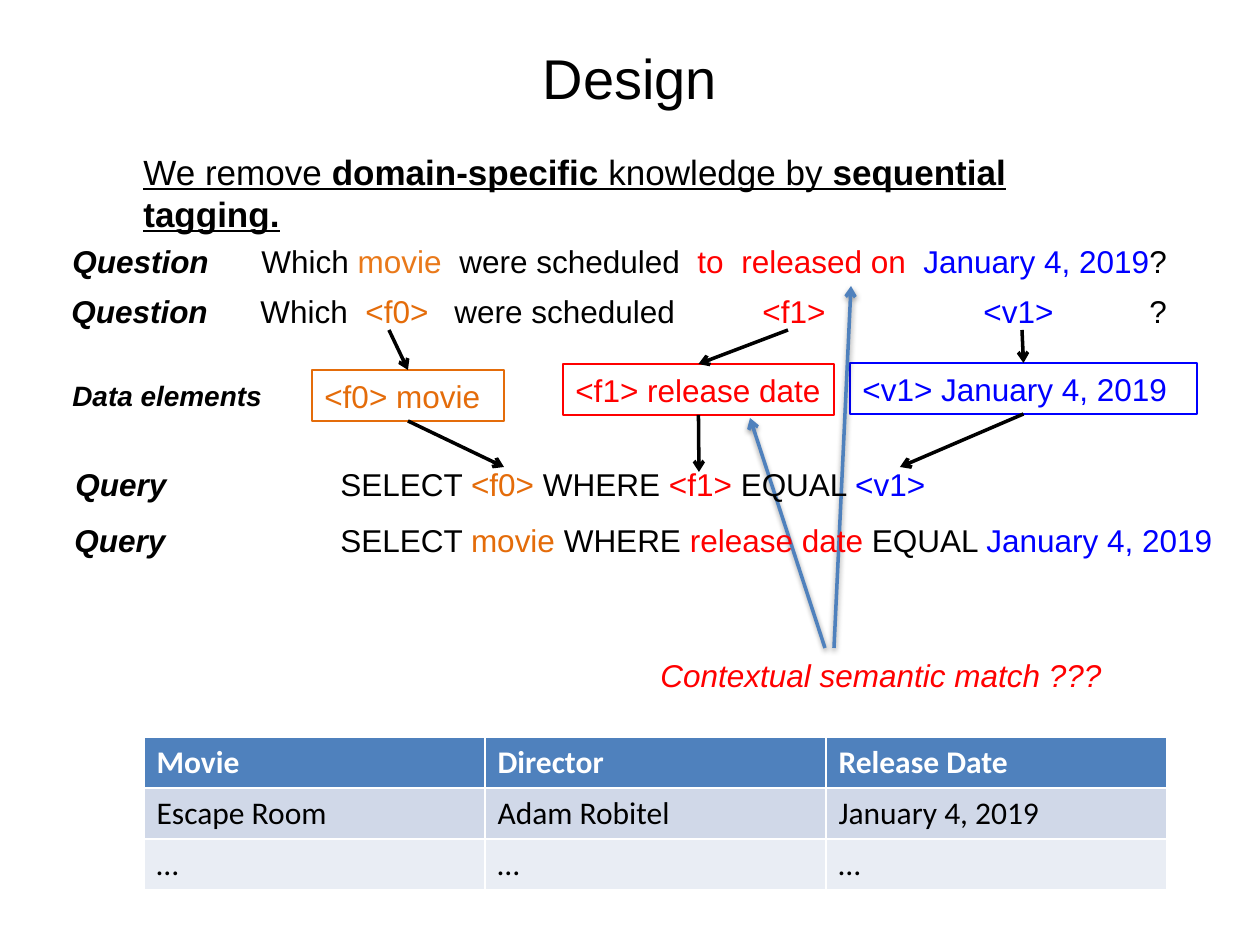
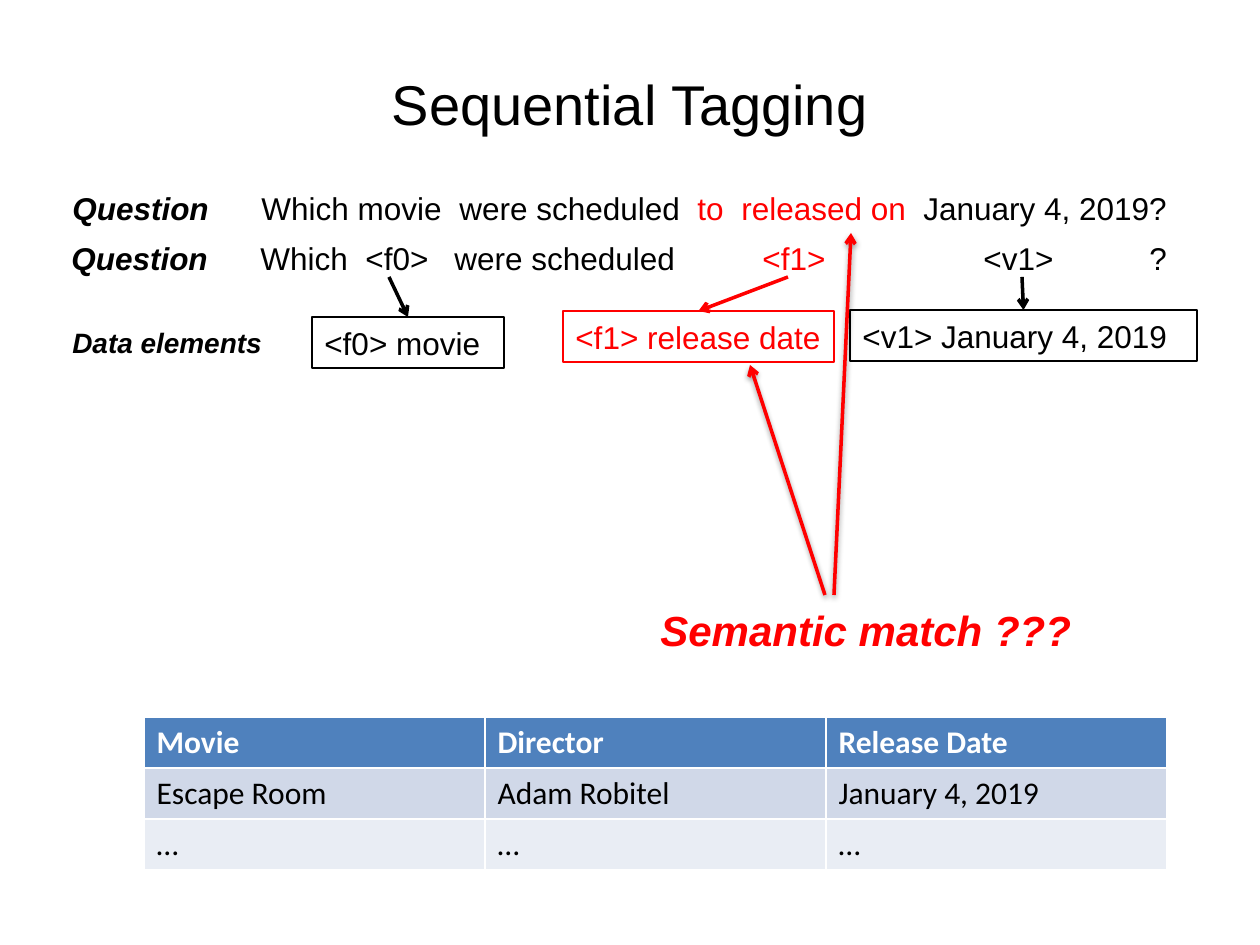
import pptx
import pptx.util
import pptx.dml.color
import pptx.enum.shapes
import pptx.enum.text
import pptx.oxml
import pptx.oxml.ns
import lxml.etree


class Theme:
    black = "000000"
    white = "FFFFFF"
    orange = "E46C0A"
    movie = "E9791A"
    red = "FF0000"
    blue = "0000FF"
    accent = "4F81BD"
    rows = ("4F81BD", "D0D8E8", "E9EDF4")
    font = "Arial"
    table_font = "Calibri"
    title_size = 32
    caption_size = 24
    intro_size = 20
    text_size = 18
    label_size = 16


PX = pptx.util.Inches(10) / 1260
INSET = 13
LINE_HEIGHT = 51
SHADOW = (
    '<a:outerShdw blurRad="40000" dist="20000" dir="5400000" rotWithShape="0">'
    '<a:srgbClr val="000000"><a:alpha val="38000"/></a:srgbClr></a:outerShdw>'
)


def write_runs(shape, runs, size, tabs=()):
    frame = shape.text_frame
    frame.word_wrap = True
    paragraph = frame.paragraphs[0]
    paragraph.alignment = pptx.enum.text.PP_ALIGN.LEFT
    if tabs:
        properties = paragraph._p.get_or_add_pPr()
        tab_list = lxml.etree.SubElement(properties, pptx.oxml.ns.qn("a:tabLst"))
        text_left = round(shape.left / PX) + INSET
        for tab in tabs:
            stop = lxml.etree.SubElement(tab_list, pptx.oxml.ns.qn("a:tab"))
            stop.set("pos", str(round((tab - text_left) * PX)))
            stop.set("algn", "l")
    for text, colour, style in runs:
        run = paragraph.add_run()
        run.text = text
        run.font.name = Theme.font
        run.font.size = pptx.util.Pt(size)
        run.font.color.rgb = pptx.dml.color.RGBColor.from_string(colour)
        run.font.bold = "b" in style
        run.font.italic = "i" in style
        run.font.underline = "u" in style


def add_arrow(slide, start, end, colour, effect=""):
    arrow = slide.shapes.add_connector(
        pptx.enum.shapes.MSO_CONNECTOR.STRAIGHT, *(round(value * PX) for value in start + end)
    )
    arrow.line.color.rgb = pptx.dml.color.RGBColor.from_string(colour)
    arrow.line.width = pptx.util.Pt(2)
    line = arrow.line._get_or_add_ln()
    lxml.etree.SubElement(line, pptx.oxml.ns.qn("a:tailEnd")).set("type", "arrow")
    arrow._element.spPr.append(
        pptx.oxml.parse_xml(f'<a:effectLst {pptx.oxml.ns.nsdecls("a")}>{effect}</a:effectLst>')
    )
    return arrow


question_tabs = (262, 460, 698, 742, 924)
tagged_tabs = (261, 366, 455, 763, 984, 1150)
query_tabs = (341,)
data_label = [("Data elements", Theme.black, "bi")]

slides = [
    {
        "title": "Design",
        "title_height": 106,
        "shift": 0,
        "table_top": 737,
        "box_colours": (Theme.orange, Theme.red, Theme.blue),
        "arrow_colours": (Theme.black, Theme.black, Theme.black),
        "query_arrows": True,
        "match_colour": Theme.accent,
        "texts": [
            (59, 286, 1142, Theme.text_size, tagged_tabs, [
                ("Question", Theme.black, "bi"),
                ("\tWhich", Theme.black, ""),
                ("\t<f0>", Theme.orange, ""),
                ("\twere scheduled", Theme.black, ""),
                ("\t<f1>", Theme.red, ""),
                ("\t<v1>", Theme.blue, ""),
                ("\t?", Theme.black, ""),
            ]),
            (63, 459, 1077, Theme.text_size, query_tabs, [
                ("Query", Theme.black, "bi"),
                ("\tSELECT ", Theme.black, ""),
                ("<f0> ", Theme.orange, ""),
                ("WHERE ", Theme.black, ""),
                ("<f1> ", Theme.red, ""),
                ("EQUAL ", Theme.black, ""),
                ("<v1>", Theme.blue, ""),
            ]),
            (60, 372, 215, Theme.label_size, (), data_label),
            (60, 236, 1173, Theme.text_size, question_tabs, [
                ("Question", Theme.black, "bi"),
                ("\tWhich ", Theme.black, ""),
                ("movie", Theme.movie, ""),
                ("\twere scheduled", Theme.black, ""),
                ("\tto\treleased on", Theme.red, ""),
                ("\tJanuary 4, 2019", Theme.blue, ""),
                ("?", Theme.black, ""),
            ]),
            (648, 650, 493, Theme.text_size, (), [
                ("Contextual semantic match ???", Theme.red, "i"),
            ]),
            (62, 515, 1172, Theme.text_size, query_tabs, [
                ("Query", Theme.black, "bi"),
                ("\tSELECT ", Theme.black, ""),
                ("movie ", Theme.orange, ""),
                ("WHERE ", Theme.black, ""),
                ("release date ", Theme.red, ""),
                ("EQUAL ", Theme.black, ""),
                ("January 4, 2019", Theme.blue, ""),
            ]),
            (131, 144, 1033, Theme.intro_size, (), [
                ("We remove ", Theme.black, "u"),
                ("domain-specific ", Theme.black, "bu"),
                ("knowledge by", Theme.black, "u"),
                (" sequential tagging.", Theme.black, "bu"),
            ]),
        ],
    },
    {
        "title": "Sequential Tagging",
        "title_height": 158,
        "shift": -53,
        "table_top": 717,
        "box_colours": (Theme.black, Theme.red, Theme.black),
        "arrow_colours": (Theme.black, Theme.red, Theme.black),
        "query_arrows": False,
        "match_colour": Theme.red,
        "texts": [
            (59, 286, 1142, Theme.text_size, tagged_tabs, [
                ("Question", Theme.black, "bi"),
                ("\tWhich\t<f0>\twere scheduled", Theme.black, ""),
                ("\t<f1>", Theme.red, ""),
                ("\t<v1>\t?", Theme.black, ""),
            ]),
            (60, 372, 215, Theme.label_size, (), data_label),
            (60, 236, 1173, Theme.text_size, question_tabs, [
                ("Question", Theme.black, "bi"),
                ("\tWhich movie\twere scheduled", Theme.black, ""),
                ("\tto\treleased on", Theme.red, ""),
                ("\tJanuary 4, 2019?", Theme.black, ""),
            ]),
            (648, 651, 493, Theme.caption_size, (), [
                ("Semantic match ???", Theme.red, "bi"),
            ]),
        ],
    },
]

boxes = [
    ("<f0> movie", 312, 370, 192, (389, 330), (504, 467)),
    ("<f1> release date", 563, 364, 271, (788, 330), (699, 472)),
    ("<v1> January 4, 2019", 850, 363, 347, (1022, 330), (900, 467)),
]
match_arrows = [((825, 648), (750, 418)), ((834, 648), (851, 286))]
movies = [
    ("Movie", "Director", "Release Date"),
    ("Escape Room", "Adam Robitel", "January 4, 2019"),
    ("…", "…", "…"),
]

presentation = pptx.Presentation()
presentation.slide_width = round(1260 * PX)
presentation.slide_height = round(945 * PX)

for content in slides:
    slide = presentation.slides.add_slide(presentation.slide_layouts[5])
    shift = content["shift"]

    title = slide.shapes.title
    title.left, title.top, title.width, title.height = (
        round(value * PX) for value in (63, 24, 1134, content["title_height"])
    )
    title.text_frame.text = content["title"]
    title_font = title.text_frame.paragraphs[0].runs[0].font
    title_font.name = Theme.font
    title_font.size = pptx.util.Pt(Theme.title_size)
    title_font.color.rgb = pptx.dml.color.RGBColor.from_string(Theme.black)

    for (label, left, top, width, tag, target), box_colour, arrow_colour in zip(
        boxes, content["box_colours"], content["arrow_colours"]
    ):
        box = slide.shapes.add_shape(
            pptx.enum.shapes.MSO_SHAPE.RECTANGLE,
            *(round(value * PX) for value in (left, top + shift, width, LINE_HEIGHT)),
        )
        box.shadow.inherit = False
        box.fill.background()
        box.line.color.rgb = pptx.dml.color.RGBColor.from_string(box_colour)
        box.line.width = pptx.util.Pt(0.75)
        write_runs(box, [(label, box_colour, "")], Theme.text_size)

        middle = left + width // 2
        tag_arrow = add_arrow(slide, (tag[0], tag[1] + shift), (middle, top + shift), arrow_colour)
        tag_arrow.end_connect(box, 0)
        if content["query_arrows"]:
            query_arrow = add_arrow(slide, (middle, top + LINE_HEIGHT), target, arrow_colour)
            query_arrow.begin_connect(box, 2)

    for start, end in match_arrows:
        add_arrow(
            slide,
            (start[0], start[1] + shift),
            (end[0], end[1] + shift),
            content["match_colour"],
            SHADOW,
        )

    for left, top, width, size, tabs, runs in content["texts"]:
        text_box = slide.shapes.add_textbox(
            *(round(value * PX) for value in (left, top + shift, width, LINE_HEIGHT))
        )
        write_runs(text_box, runs, size, tabs)

    table = slide.shapes.add_table(
        3, 3, *(round(value * PX) for value in (144, content["table_top"], 1023, 153))
    ).table
    for row_index, values in enumerate(movies):
        for column_index, value in enumerate(values):
            cell = table.cell(row_index, column_index)
            cell.fill.solid()
            cell.fill.fore_color.rgb = pptx.dml.color.RGBColor.from_string(Theme.rows[row_index])
            cell.text_frame.text = value
            cell_font = cell.text_frame.paragraphs[0].runs[0].font
            cell_font.name = Theme.table_font
            cell_font.size = pptx.util.Pt(Theme.text_size)
            cell_font.bold = row_index == 0
            cell_font.color.rgb = pptx.dml.color.RGBColor.from_string(
                Theme.black if row_index else Theme.white
            )

presentation.save("out.pptx")
